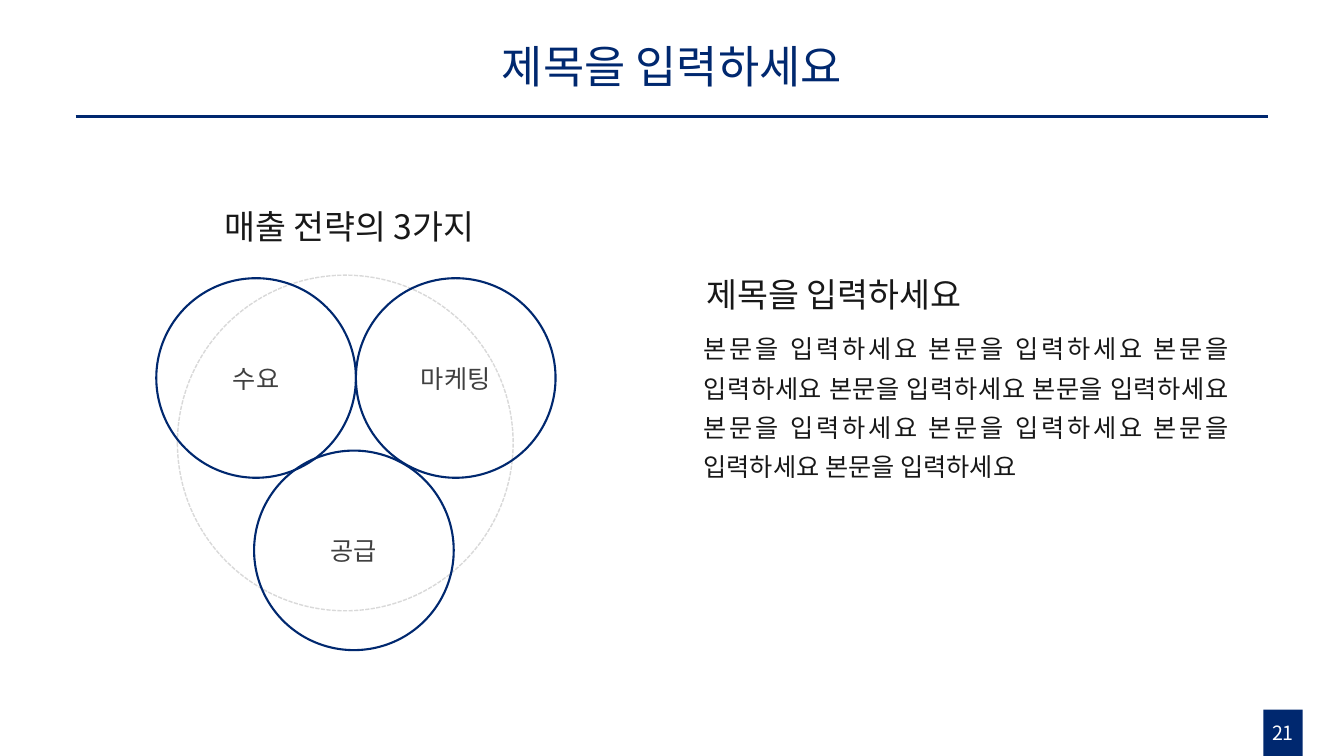
from dataclasses import dataclass

from lxml.etree import SubElement
from pptx import Presentation
from pptx.dml.color import RGBColor
from pptx.enum.dml import MSO_LINE_DASH_STYLE as Dash
from pptx.enum.shapes import MSO_CONNECTOR as Connector, MSO_SHAPE as Shape
from pptx.enum.text import MSO_ANCHOR as Anchor, MSO_AUTO_SIZE as AutoSize, PP_ALIGN as Align
from pptx.oxml.ns import qn
from pptx.util import Inches, Pt


@dataclass(frozen=True)
class Theme:
    """Colours, font and type sizes of the slide."""
    font: str = "Noto Sans CJK KR"
    navy: RGBColor = RGBColor(0x00, 0x28, 0x6F)
    ink: RGBColor = RGBColor(0x18, 0x18, 0x18)
    label: RGBColor = RGBColor(0x40, 0x40, 0x40)
    pale: RGBColor = RGBColor(0xD9, 0xD9, 0xD9)
    white: RGBColor = RGBColor(0xFF, 0xFF, 0xFF)
    title_size: int = 32
    heading_size: int = 24
    body_size: int = 18
    number_size: int = 14


THEME = Theme()


def apply_format(target, values):
    """Set each named attribute on the target."""
    for name, value in values.items():
        setattr(target, name, value)


def write_text(shape, text, size, color, align=Align.CENTER, anchor=Anchor.MIDDLE,
               spacing=1.0, fit=AutoSize.NONE):
    """Write one formatted paragraph into a shape."""
    frame = shape.text_frame
    apply_format(frame, {"word_wrap": True, "vertical_anchor": anchor, "auto_size": fit})
    paragraph = frame.paragraphs[0]
    apply_format(paragraph, {"alignment": align, "line_spacing": spacing})
    run = paragraph.add_run()
    run.text = text
    apply_format(run.font, {"name": THEME.font, "size": Pt(size)})
    run.font.color.rgb = color
    SubElement(run.font._element, qn("a:ea"), typeface=THEME.font)


def add_text(shapes, box, text, size, color, **options):
    """Add a text box in the given box."""
    shape = shapes.add_textbox(*map(Inches, box))
    write_text(shape, text, size, color, **options)


def add_circle(shapes, left, top, diameter, color, width, dash=None):
    """Add an unfilled circle."""
    circle = shapes.add_shape(Shape.OVAL, *map(Inches, (left, top, diameter, diameter)))
    circle.shadow.inherit = False
    circle.fill.background()
    circle.line.color.rgb = color
    apply_format(circle.line, {"width": Pt(width), "dash_style": dash})
    return circle


def add_header(slide, left, top, width, height):
    """Place the centred title above a full-width rule."""
    title_width = 7.89
    title_left = left + (width - title_width) / 2
    add_text(slide.shapes, (title_left, top, title_width, 0.76), "제목을 입력하세요",
             THEME.title_size, THEME.navy, spacing=0.9)
    rule = slide.shapes.add_connector(
        Connector.STRAIGHT, *map(Inches, (left, top + height, left + width, top + height)))
    rule.line.color.rgb = THEME.navy
    rule.line.width = Pt(2.25)
    SubElement(rule._element.spPr, qn("a:effectLst"))


def add_strategy_diagram(slide, left, top):
    """Place a heading over three touching circles and a dashed ring."""
    shapes = slide.shapes.add_group_shape().shapes
    diameter = 1.98
    add_circle(shapes, left + 0.21, top + 0.85, 3.33, THEME.pale, 1, Dash.SQUARE_DOT)
    circles = (("수요", 0, 0), ("마케팅", diameter, 0), ("공급", 0.97, 1.71))
    for text, across, down in circles:
        circle = add_circle(shapes, left + across, top + 0.88 + down, diameter, THEME.navy, 1.5)
        write_text(circle, text, THEME.body_size, THEME.label)
    add_text(shapes, (left + 0.42, top, 2.99, 0.6), "매출 전략의 3가지",
             THEME.heading_size, THEME.ink, spacing=1.3, fit=AutoSize.SHAPE_TO_FIT_TEXT)


def add_description(slide, left, top, width):
    """Place a heading with a justified paragraph under it."""
    options = {"spacing": 1.3, "fit": AutoSize.SHAPE_TO_FIT_TEXT}
    add_text(slide.shapes, (left, top + 0.61, width, 1.65), " ".join(["본문을 입력하세요"] * 9),
             THEME.body_size, THEME.ink, align=Align.JUSTIFY, anchor=Anchor.TOP, **options)
    add_text(slide.shapes, (left + 0.03, top, 3.7, 0.6), "제목을 입력하세요",
             THEME.heading_size, THEME.ink, align=Align.LEFT, **options)


def add_page_number(slide, left, top, width, height):
    """Place the page number on a filled badge."""
    badge = slide.shapes.add_shape(Shape.RECTANGLE, *map(Inches, (left, top, width, height)))
    badge.shadow.inherit = False
    badge.fill.solid()
    badge.fill.fore_color.rgb = THEME.navy
    badge.line.fill.background()
    add_text(slide.shapes, (left - 0.14, top + 0.06, width + 0.28, 0.34), "21",
             THEME.number_size, THEME.white, anchor=Anchor.TOP, fit=AutoSize.SHAPE_TO_FIT_TEXT)


def main():
    """Build and save the slide."""
    presentation = Presentation()
    apply_format(presentation, {"slide_width": Inches(13.33), "slide_height": Inches(7.5)})
    slide = presentation.slides.add_slide(presentation.slide_layouts[6])
    add_header(slide, 0.75, 0.3, 11.83, 0.86)
    add_page_number(slide, 12.53, 7.04, 0.39, 0.46)
    add_strategy_diagram(slide, 1.55, 1.88)
    add_description(slide, 6.88, 2.56, 5.41)
    presentation.save("out.pptx")


if __name__ == "__main__":
    main()
